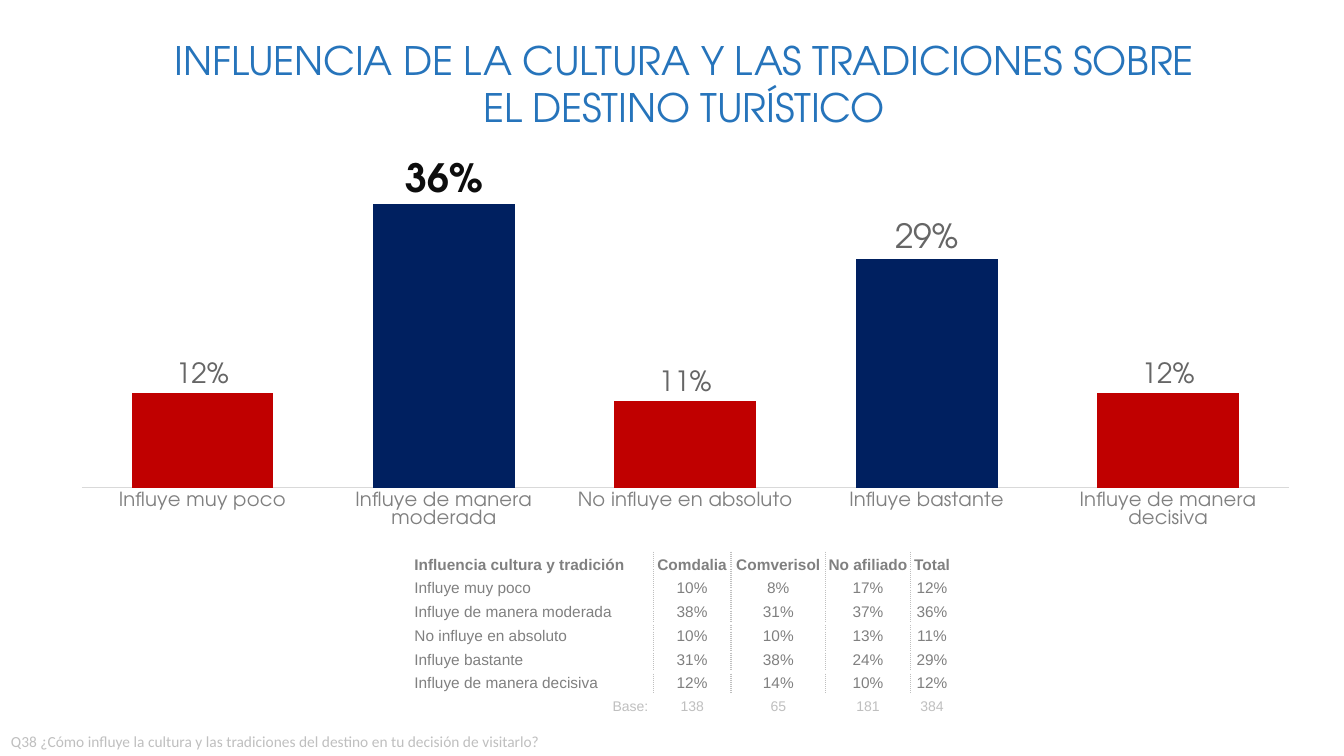
from lxml import etree
from pptx import Presentation
from pptx.chart.data import CategoryChartData
from pptx.dml.color import RGBColor
from pptx.enum.chart import XL_CHART_TYPE as ChartType, XL_LABEL_POSITION as LabelPosition
from pptx.enum.chart import XL_TICK_LABEL_POSITION as TickLabels, XL_TICK_MARK as TickMark
from pptx.enum.text import MSO_ANCHOR as Anchor, MSO_AUTO_SIZE as AutoSize, PP_ALIGN as Align
from pptx.oxml.ns import qn
from pptx.util import Inches, Pt

DISPLAY, TABLE_FONT, NOTE_FONT = "TeX Gyre Adventor", "Arial", "Calibri"
BLUE, NAVY, RED = "2674BB", "002060", "C00000"
GREY, PALE, WHITE = "808080", "BFBFBF", "FFFFFF"

ANSWERS = {
    "Influye muy poco": 0.12,
    "Influye de manera moderada": 0.36,
    "No influye en absoluto": 0.11,
    "Influye bastante": 0.29,
    "Influye de manera decisiva": 0.12,
}
HEADER = ["Influencia cultura y tradición", "Comdalia", "Comverisol", "No afiliado", "Total"]
SHARES = [
    [10, 8, 17, 12],
    [38, 31, 37, 36],
    [10, 10, 13, 11],
    [31, 38, 24, 29],
    [12, 14, 10, 12],
]
BASE = ["Base:", "138", "65", "181", "384"]


def color(value):
    """Turn a hex string into a colour."""
    return RGBColor.from_string(value)


def set_all(target, **values):
    """Set every given attribute on the target."""
    for name, value in values.items():
        setattr(target, name, value)


def set_font(font, name, size, shade, bold=False):
    """Give a font its face, size, colour and weight."""
    set_all(font, name=name, size=Pt(size), bold=bold)
    font.color.rgb = color(shade)


def place(shape, box):
    """Move a shape to a box of left, top, width and height in inches."""
    for name, length in zip(("left", "top", "width", "height"), box):
        setattr(shape, name, Inches(length))


def add_title(page, box):
    """Write the heading in the title placeholder."""
    title = page.shapes.title
    place(title, box)
    frame = title.text_frame
    set_all(frame, word_wrap=True, auto_size=AutoSize.NONE, vertical_anchor=Anchor.TOP,
            margin_left=0, margin_right=0, margin_top=Inches(0.01), margin_bottom=0)
    para = frame.paragraphs[0]
    set_all(para, alignment=Align.CENTER, line_spacing=1.0)
    span = para.add_run()
    span.text = "INFLUENCIA DE LA CULTURA Y LAS TRADICIONES SOBRE EL DESTINO TURÍSTICO"
    set_font(span.font, DISPLAY, 28, BLUE)
    span.font._element.set("spc", "-10")


def add_question(page, box):
    """Write the survey question at the foot of the page."""
    frame = page.shapes.add_textbox(*map(Inches, box)).text_frame
    frame.word_wrap = True
    span = frame.paragraphs[0].add_run()
    span.text = "Q38 ¿Cómo influye la cultura y las tradiciones del destino en tu decisión de visitarlo?"
    set_font(span.font, NOTE_FONT, 11, PALE)


def set_plot_area(chart, x, y, w, h):
    """Fix the inner plot area as fractions of the chart."""
    area = chart._chartSpace.find(".//" + qn("c:plotArea"))
    for old in area.findall(qn("c:layout")):
        area.remove(old)
    layout = etree.Element(qn("c:layout"))
    manual = etree.SubElement(layout, qn("c:manualLayout"))
    settings = {"layoutTarget": "inner", "xMode": "edge", "yMode": "edge",
                "x": x, "y": y, "w": w, "h": h}
    for name, value in settings.items():
        etree.SubElement(manual, qn("c:" + name)).set("val", str(value))
    area.insert(0, layout)


def add_answer_chart(page, box):
    """Draw the columns, with the two leading answers in navy."""
    data = CategoryChartData(number_format="0%")
    data.categories = list(ANSWERS)
    data.add_series("Total", list(ANSWERS.values()))
    chart = page.shapes.add_chart(ChartType.COLUMN_CLUSTERED, *map(Inches, box), data).chart
    set_all(chart, has_legend=False, has_title=False)
    set_font(chart.font, NOTE_FONT, 10, "000000")
    set_plot_area(chart, 0.05, 0.056, 0.948, 0.841)

    value_axis = chart.value_axis
    set_all(value_axis, minimum_scale=0, maximum_scale=0.4, has_major_gridlines=False,
            major_tick_mark=TickMark.NONE, tick_label_position=TickLabels.NONE)
    value_axis.format.line.fill.background()
    category_axis = chart.category_axis
    category_axis.major_tick_mark = TickMark.NONE
    set_font(category_axis.tick_labels.font, DISPLAY, 14, GREY)
    category_axis.format.line.color.rgb = color("D9D9D9")
    category_axis.format.line.width = Pt(0.75)

    plot = chart.plots[0]
    set_all(plot, gap_width=70, vary_by_categories=False)
    series = plot.series[0]
    series.format.fill.solid()
    series.format.fill.fore_color.rgb = color(RED)
    labels = series.data_labels
    set_all(labels, show_value=True, position=LabelPosition.OUTSIDE_END,
            number_format="0%", number_format_is_linked=False)
    set_font(labels.font, DISPLAY, 20, "666666")
    for index, size, shade, bold in ((1, 28, "0D0D0D", True), (3, 24, "666666", False)):
        point = series.points[index]
        point.format.fill.solid()
        point.format.fill.fore_color.rgb = color(NAVY)
        set_font(point.data_label.font, DISPLAY, size, shade, bold)
        point.data_label.position = LabelPosition.OUTSIDE_END


def set_border(cell, side, shade, dash):
    """Draw one side of a cell."""
    line = etree.SubElement(cell._tc.get_or_add_tcPr(), qn("a:ln" + side), w=str(Pt(1)))
    fill = etree.SubElement(line, qn("a:solidFill"))
    etree.SubElement(fill, qn("a:srgbClr"), val=shade)
    etree.SubElement(line, qn("a:prstDash"), val=dash)


def add_share_table(page, box):
    """Lay out the shares by affiliation, with dotted rules between columns."""
    rows = [HEADER]
    rows += [[answer] + [f"{share}%" for share in shares]
             for answer, shares in zip(ANSWERS, SHARES)]
    rows.append(BASE)
    last_row, last_column = len(rows) - 1, len(HEADER) - 1
    table = page.shapes.add_table(len(rows), len(HEADER), *map(Inches, box)).table
    set_all(table, first_row=False, horz_banding=False)
    for column, width in zip(table.columns, (2.38, 0.77, 0.94, 0.84, 0.43)):
        column.width = Inches(width)
    for r, texts in enumerate(rows):
        table.rows[r].height = Inches(box[3] / len(rows))
        is_base = r == last_row
        for c, text in enumerate(texts):
            cell = table.cell(r, c)
            is_base_name = is_base and c == 0
            set_all(cell, vertical_anchor=Anchor.MIDDLE, margin_left=Inches(0.01),
                    margin_right=Inches(0.05 if is_base_name else 0.01),
                    margin_top=Inches(0.01), margin_bottom=0)
            dotted = {"L": c > 0 and not is_base, "R": c < last_column and not is_base}
            for side in "LRTB":
                style = (PALE, "sysDot") if dotted.get(side) else (WHITE, "solid")
                set_border(cell, side, *style)
            cell.fill.background()
            para = cell.text_frame.paragraphs[0]
            para.alignment = Align.RIGHT if is_base_name else Align.CENTER if c else Align.LEFT
            span = para.add_run()
            span.text = text
            set_font(span.font, TABLE_FONT, 10 if is_base else 11,
                     PALE if is_base else GREY, r == 0)


def main():
    """Build the slide and save the deck."""
    deck = Presentation()
    set_all(deck, slide_width=Inches(13.33), slide_height=Inches(7.5))
    page = deck.slides.add_slide(deck.slide_layouts[5])
    add_title(page, (1.73, 0.35, 10.11, 0.96))
    add_question(page, (0.01, 7.21, 6.67, 0.29))
    add_answer_chart(page, (0.18, 1.5, 12.63, 3.75))
    add_share_table(page, (4.1, 5.48, 5.36, 1.65))
    deck.save("out.pptx")


if __name__ == "__main__":
    main()
